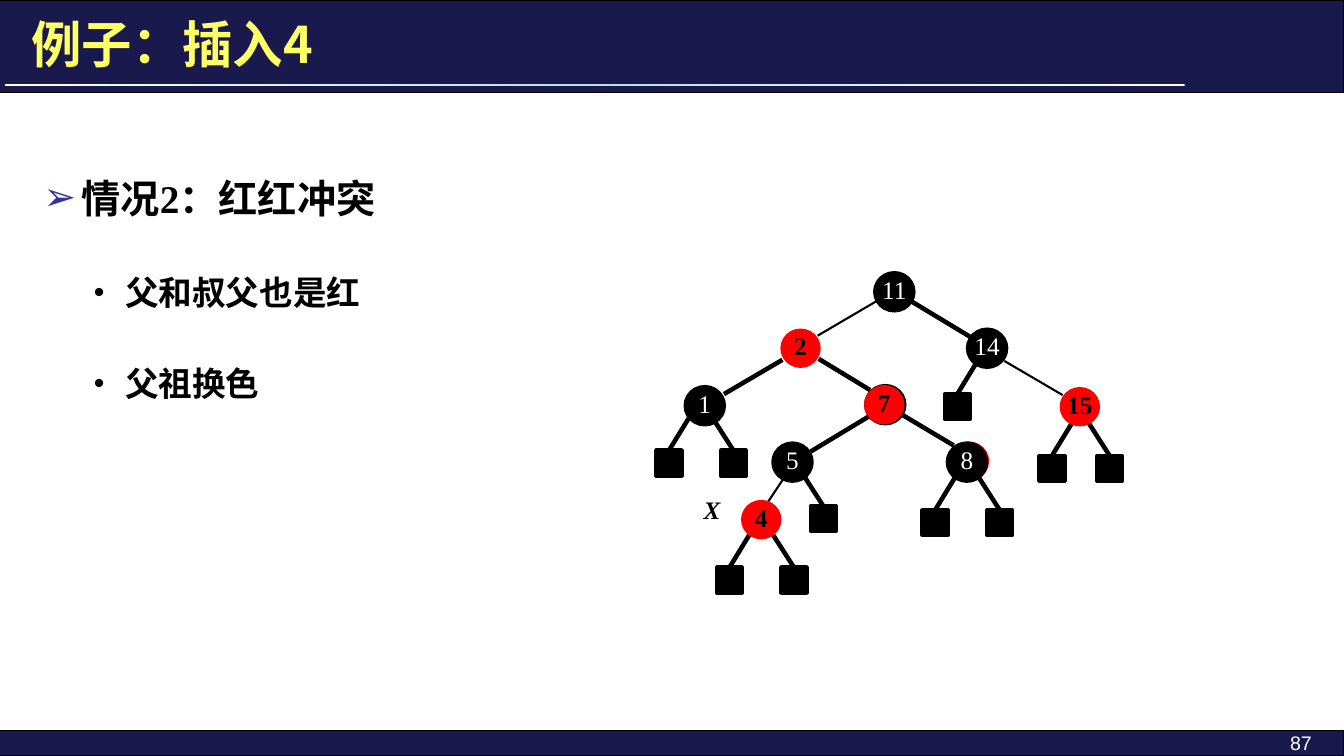
from pptx import Presentation
from pptx.dml.color import RGBColor
from pptx.enum.shapes import MSO_CONNECTOR, MSO_SHAPE
from pptx.enum.text import MSO_ANCHOR, MSO_AUTO_SIZE, PP_ALIGN
from pptx.oxml import parse_xml
from pptx.oxml.ns import nsdecls, qn
from pptx.util import Emu, Pt

RECT, OVAL = MSO_SHAPE.RECTANGLE, MSO_SHAPE.OVAL
STRAIGHT = MSO_CONNECTOR.STRAIGHT
MIDDLE, TOP = MSO_ANCHOR.MIDDLE, MSO_ANCHOR.TOP
LEFT, CENTER, RIGHT = PP_ALIGN.LEFT, PP_ALIGN.CENTER, PP_ALIGN.RIGHT
NO_AUTOFIT = MSO_AUTO_SIZE.NONE

SERIF, SANS, CJK = "Times New Roman", "Arial", "Noto Sans CJK SC"
BLACK, WHITE, RED = "000000", "FFFFFF", "FF0000"
NAVY, YELLOW, INDIGO, PALE = "19194D", "FFFF66", "333399", "BBE0E3"
THIN, THICK = 1.5, 3.25
NODE_W, NODE_H, LEAF = 38, 37, 25

BULLETS = [
    ("情况2：红红冲突", 0, 28, 70, 0),
    ("父和叔父也是红", 1, 24, 58, 7),
    ("父祖换色", 1, 24, 58, 7),
]
BULLET_STYLES = [(38, 38, "➢", INDIGO, 100), (81, 31, "•", BLACK, 90)]

EDGES = [
    (869, 299, 811, 333, THIN), (904, 299, 962, 334, THICK),
    (776, 357, 718, 391, THICK), (996, 358, 1054, 392, THIN),
    (812, 356, 863, 387, THICK), (862, 413, 804, 448, THICK),
    (894, 411, 946, 442, THICK), (761, 499, 781, 469, THIN),
]
LEAVES = [
    (651, 447, 1), (715, 447, -1), (915, 506, 1), (979, 506, -1),
    (711, 563, 1), (775, 563, -1), (1031, 452, 1), (1088, 452, -1),
    (937, 391, 1), (804, 502, -1),
]
NODES = [
    ("", 859, 383, BLACK), ("", 942, 439, RED),
    ("11", 868, 271, BLACK), ("2", 775, 327, RED), ("14", 960, 327, BLACK),
    ("1", 680, 384, BLACK), ("7", 858, 383, RED), ("15", 1052, 385, RED),
    ("5", 767, 440, BLACK), ("8", 940, 440, BLACK), ("4", 736, 497, RED),
]


def px(length):
    return Emu(length * 9144)


def rgb(color):
    return RGBColor.from_string(color)


class TreeSlide:
    def __init__(self, deck):
        self.slide = deck.slides.add_slide(deck.slide_layouts[1])
        self.shapes = self.slide.shapes

    def shape(self, kind, box, fill, line, width):
        shape = self.shapes.add_shape(kind, *map(px, box))
        shape.shadow.inherit = False
        shape.fill.solid()
        shape.fill.fore_color.rgb = rgb(fill)
        shape.line.color.rgb = rgb(line)
        shape.line.width = Pt(width)
        return shape

    def rule(self, box, colors):
        rule = self.shapes.add_shape(RECT, *map(px, box))
        rule.shadow.inherit = False
        rule.line.fill.background()
        stops = "".join(
            f'<a:gs pos="{i * 50000}"><a:srgbClr val="{color}"/></a:gs>'
            for i, color in enumerate(colors))
        rule._element.spPr.insert(2, parse_xml(
            f'<a:gradFill {nsdecls("a")}><a:gsLst>{stops}</a:gsLst>'
            '<a:lin ang="0" scaled="1"/></a:gradFill>'))

    def run(self, paragraph, text, size, color, font, bold=False, italic=False):
        run = paragraph.add_run()
        run.text = text
        run.font.size = Pt(size)
        run.font.bold = bold
        run.font.italic = italic
        run.font.color.rgb = rgb(color)
        run.font.name = font
        run.font._element.find(qn("a:latin")).addnext(
            parse_xml(f'<a:ea {nsdecls("a")} typeface="{CJK}"/>'))

    def place(self, holder, box, anchor):
        holder.left, holder.top, holder.width, holder.height = map(px, box)
        frame = holder.text_frame
        frame.word_wrap = True
        frame.auto_size = NO_AUTOFIT
        frame.vertical_anchor = anchor
        return frame

    def title(self, text, box):
        paragraph = self.place(self.shapes.title, box, MIDDLE).paragraphs[0]
        paragraph.alignment = LEFT
        self.run(paragraph, text, 36, YELLOW, CJK, bold=True)

    def bullets(self, items, box):
        frame = self.place(self.slide.placeholders[1], box, TOP)
        for i, (text, level, size, spacing, before) in enumerate(items):
            paragraph = frame.add_paragraph() if i else frame.paragraphs[0]
            margin, hang, mark, color, percent = BULLET_STYLES[level]
            properties = paragraph._p.get_or_add_pPr()
            properties.set("marL", str(px(margin)))
            properties.set("indent", str(-px(hang)))
            for xml in (
                f'<a:buClr {nsdecls("a")}><a:srgbClr val="{color}"/></a:buClr>',
                f'<a:buSzPct {nsdecls("a")} val="{percent * 1000}"/>',
                f'<a:buFont {nsdecls("a")} typeface="{SANS}"/>',
                f'<a:buChar {nsdecls("a")} char="{mark}"/>',
            ):
                properties.append(parse_xml(xml))
            paragraph.level = level
            paragraph.line_spacing = Pt(spacing)
            paragraph.space_before = Pt(before)
            self.run(paragraph, text, size, BLACK, SERIF, bold=True)

    def label(self, text, box, size, color, font, align=LEFT, wrap=True, strong=False):
        frame = self.shapes.add_textbox(*map(px, box)).text_frame
        frame.word_wrap = wrap
        paragraph = frame.paragraphs[0]
        paragraph.alignment = align
        self.run(paragraph, text, size, color, font, bold=strong, italic=strong)

    def edge(self, x1, y1, x2, y2, width):
        edge = self.shapes.add_connector(STRAIGHT, *map(px, (x1, y1, x2, y2)))
        edge.line.color.rgb = rgb(BLACK)
        edge.line.width = Pt(width)
        edge._element.spPr.append(parse_xml(f'<a:effectLst {nsdecls("a")}/>'))
        return edge

    def leaf(self, x, y, side):
        leaf = self.shape(RECT, (x, y, LEAF, LEAF), BLACK, BLACK, 3)
        middle = x + LEAF // 2
        edge = self.edge(middle, y, middle + 20 * side, y - 32, THICK)
        edge.begin_connect(leaf, 0)

    def node(self, key, x, y, fill):
        red = fill == RED
        node = self.shape(OVAL, (x, y, NODE_W, NODE_H), fill, fill, 1.5 if red else 3)
        if key:
            frame = node.text_frame
            frame.margin_left = frame.margin_top = frame.margin_right = 0
            frame.margin_bottom = px(5)
            frame.word_wrap = False
            frame.vertical_anchor = MIDDLE
            frame.paragraphs[0].alignment = CENTER
            self.run(frame.paragraphs[0], key, 18, BLACK if red else WHITE, SERIF, bold=red)


def main():
    deck = Presentation()
    deck.slide_width, deck.slide_height = px(1333), px(750)
    page = TreeSlide(deck)
    bands = [page.shape(RECT, box, NAVY, BLACK, 0.75)
             for box in ((0, 725, 1333, 25), (0, 0, 1333, 92))]
    for band in bands:
        page.shapes._spTree.insert(2, band._element)
    page.rule((5, 83, 1170, 2), (WHITE, PALE, WHITE))
    page.title("例子：插入4", (21, 8, 1029, 70))
    page.bullets(BULLETS, (33, 117, 1267, 583))
    for edge in EDGES:
        page.edge(*edge)
    for leaf in LEAVES:
        page.leaf(*leaf)
    for node in NODES:
        page.node(*node)
    page.label("X", (688, 486, 34, 40), 18, BLACK, SERIF, wrap=False, strong=True)
    page.label("87", (1111, 720, 200, 25), 14, WHITE, SANS, align=RIGHT)
    deck.save("out.pptx")


if __name__ == "__main__":
    main()
